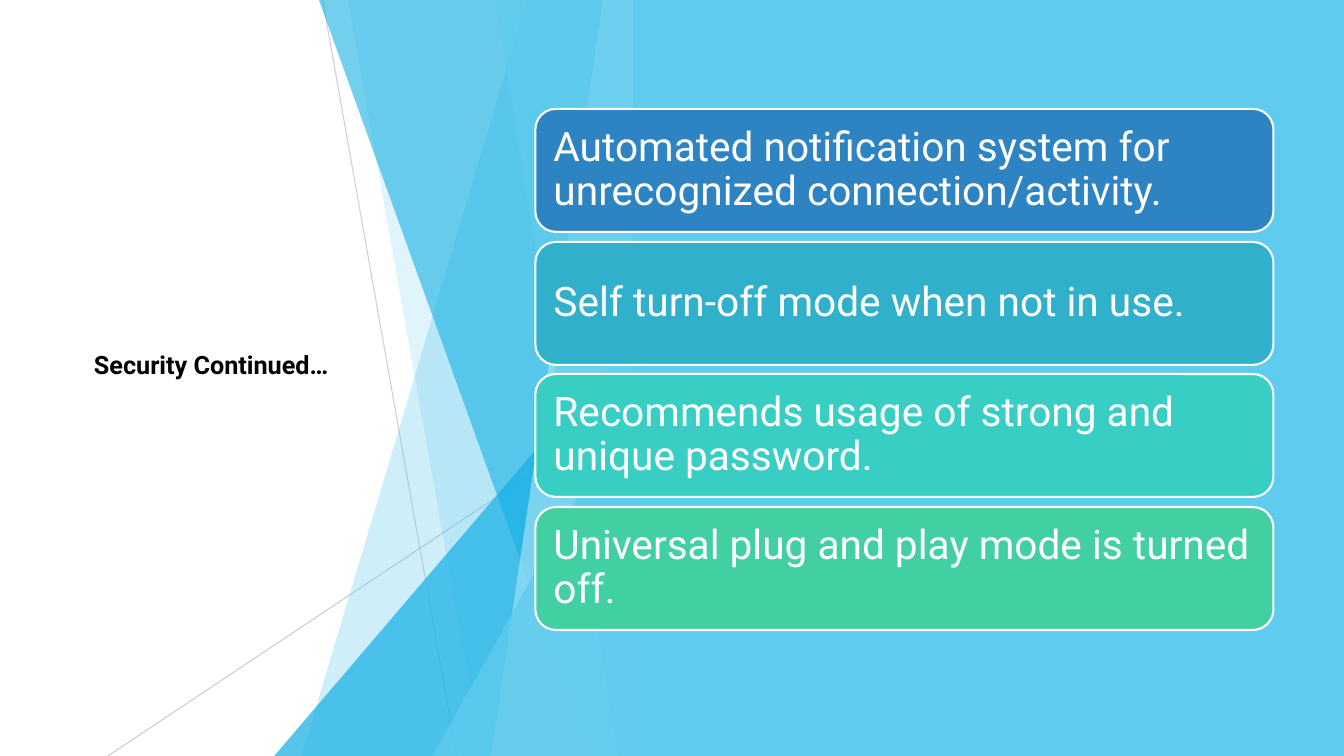
from pptx import Presentation
from pptx.dml.color import RGBColor as Rgb
from pptx.enum.shapes import MSO_CONNECTOR as Link, MSO_SHAPE as Kind
from pptx.enum.text import MSO_ANCHOR as Anchor, MSO_AUTO_SIZE as Fit, PP_ALIGN as Align
from pptx.oxml.ns import qn
from pptx.util import Pt
from lxml.etree import SubElement as Sub

PX = 9144
WIDE, HIGH, EDGE = 1333, 750, 628
THEME = {
    "font": "Roboto", "title": 18, "body": 29,
    "ink": "000000", "white": "FFFFFF", "gray": "BFBFBF",
    "sky": "5FCBEF", "blue": "17B0E4", "pale": "9FE0F5",
    "cards": ["2E83C3", "31B0CB", "39CEC4", "42D0A2"],
}


def paint(fill, color, alpha=100):
    fill.solid()
    fill.fore_color.rgb = Rgb.from_string(color)
    if alpha < 100:
        tone = next(fill._xPr.iter(qn("a:srgbClr")))
        Sub(tone, qn("a:alpha")).set("val", str(alpha * 1000))


def style(frame, size, color, bold=False):
    frame.vertical_anchor = Anchor.MIDDLE
    frame.word_wrap = True
    font = frame.paragraphs[0].runs[0].font
    font.name, font.size, font.bold = THEME["font"], Pt(size), bold
    font.color.rgb = Rgb.from_string(color)


deck = Presentation()
deck.slide_width, deck.slide_height = WIDE * PX, HIGH * PX
slide = deck.slides.add_slide(deck.slide_layouts[5])
shapes = slide.shapes

title = shapes.title
title.left, title.top, title.width, title.height = 75 * PX, 342 * PX, 269 * PX, 40 * PX
frame = title.text_frame
frame.text = "Security Continued…"
frame.auto_size = Fit.NONE
frame.paragraphs[0].alignment = Align.CENTER
style(frame, THEME["title"], THEME["ink"], True)

for x1, y1, x2, alpha in [(320, 0, 453, 75), (EDGE, 403, 107, 80)]:
    line = shapes.add_connector(Link.STRAIGHT, x1 * PX, y1 * PX, x2 * PX, HIGH * PX)
    line.line.width = Pt(0.75)
    paint(line.line.fill, THEME["gray"], alpha)
    Sub(line._element.spPr, qn("a:effectLst"))

facets = [
    ("band", 523, 299, "sky", 30),
    ("band", 345, 478, "sky", 20),
    ("peak", 272, 333, "blue", 72),
    ("band", 316, 586, "blue", 60),
    ("band", 598, 487, "pale", 70),
    ("band", 491, 613, "sky", 65),
    ("peak", 429, 393, "sky", 80),
]
for form, left, end, color, alpha in facets:
    if form == "band":
        pen = shapes.build_freeform(left, -1, scale=PX)
        pen.add_line_segments([(EDGE, -1), (EDGE, HIGH), (end, HIGH)])
        facet = pen.convert_to_shape()
    else:
        facet = shapes.add_shape(Kind.ISOSCELES_TRIANGLE, left * PX, end * PX,
                                 (EDGE - left) * PX, (HIGH - end) * PX)
        facet.adjustments[0] = 1
    facet.shadow.inherit = False
    facet.line.fill.background()
    paint(facet.fill, THEME[color], alpha)

panel = shapes.add_shape(Kind.RECTANGLE, EDGE * PX, 0, (WIDE - EDGE) * PX, HIGH * PX)
panel.shadow.inherit = False
panel.line.fill.background()
paint(panel.fill, THEME["sky"])

notes = [
    "Automated notification system for unrecognized connection/activity.",
    "Self turn-off mode when not in use.",
    "Recommends usage of strong and unique password.",
    "Universal plug and play mode is turned off.",
]
for row, (note, color) in enumerate(zip(notes, THEME["cards"])):
    top = 108 + round(row * 395 / 3)
    card = shapes.add_shape(Kind.ROUNDED_RECTANGLE, 531 * PX, top * PX, 732 * PX, 122 * PX)
    card.shadow.inherit = False
    paint(card.fill, color)
    paint(card.line.fill, THEME["white"])
    card.line.width = Pt(1.5)
    frame = card.text_frame
    frame.margin_left = frame.margin_right = 12 * PX
    frame.margin_top = frame.margin_bottom = 12 * PX
    frame.text = note
    frame.paragraphs[0].alignment = Align.LEFT
    frame.paragraphs[0].line_spacing = 0.9
    style(frame, THEME["body"], THEME["white"])

deck.save("out.pptx")
